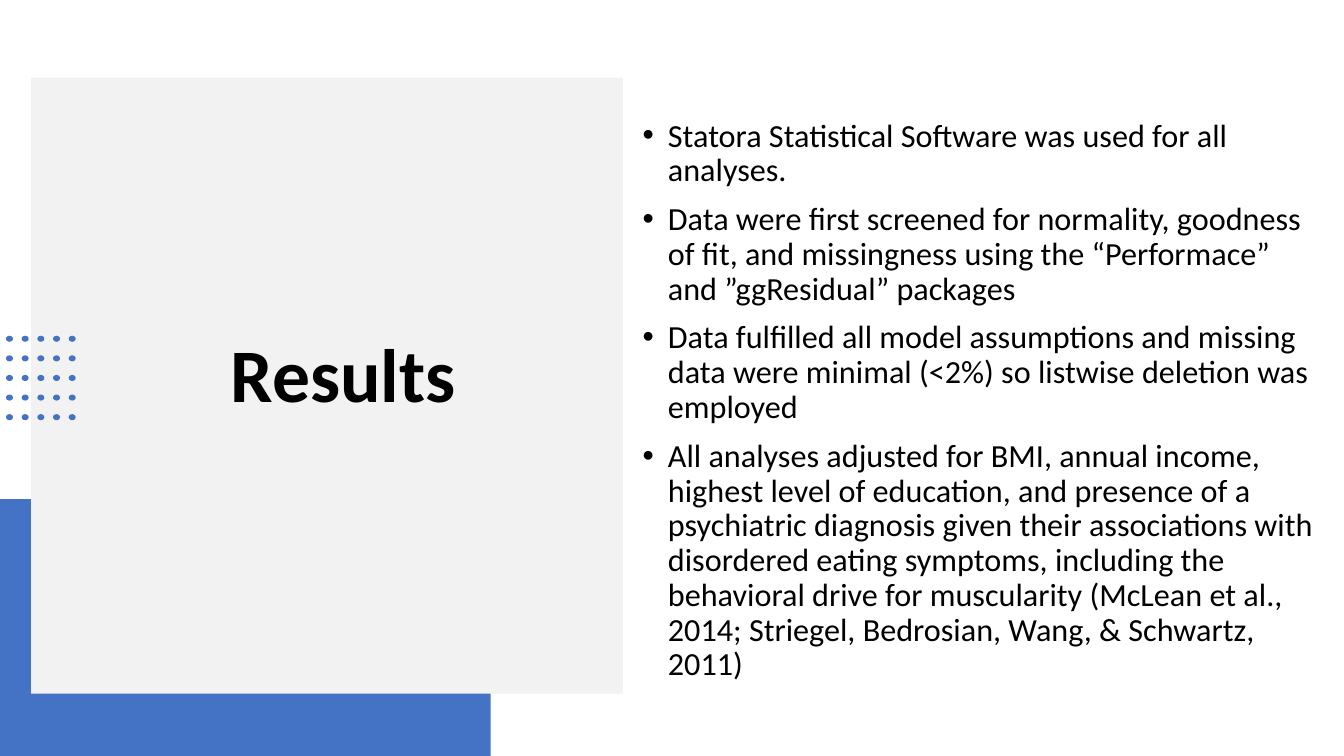
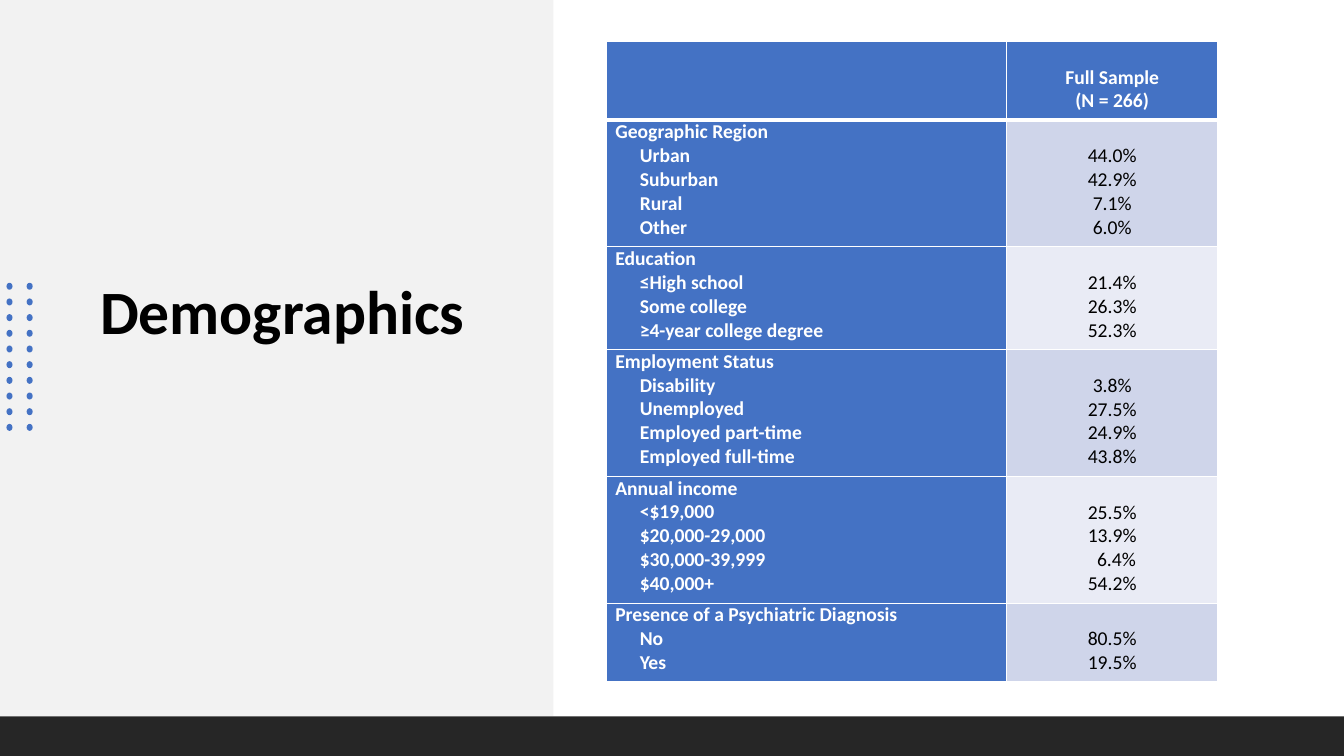
from dataclasses import dataclass
from itertools import product

from lxml import etree
from pptx import Presentation
from pptx import util as u
from pptx.dml import color
from pptx.enum import shapes, text
from pptx.oxml import ns

Pt = u.Pt


@dataclass(frozen=True)
class Theme:
    font: str = "Calibri"
    blue: str = "4472C4"
    panel: str = "F2F2F2"
    dark: str = "262626"
    black: str = "000000"
    white: str = "FFFFFF"
    bands: tuple = ("CFD5EA", "E9EBF5")
    title: int = 54
    label: int = 44
    body: int = 23
    cell: int = 14


T = Theme()
WIDE, HIGH = 960, 540
LEFT, MID = text.PP_ALIGN.LEFT, text.PP_ALIGN.CENTER

POINTS = (
    "Statora Statistical Software was used for all analyses.",
    "Data were first screened for normality, goodness of fit, and missingness "
    "using the “Performace” and ”ggResidual” packages",
    "Data fulfilled all model assumptions and missing data were minimal (<2%) "
    "so listwise deletion was employed",
    "All analyses adjusted for BMI, annual income, highest level of education, "
    "and presence of a psychiatric diagnosis given their associations with "
    "disordered eating symptoms, including the behavioral drive for muscularity "
    "(McLean et al., 2014; Striegel, Bedrosian, Wang, & Schwartz, 2011)",
)
HEADS = ("Full Sample", "(N = 266)")
GROUPS = (
    ("Geographic Region", (("Urban", "44.0%"), ("Suburban", "42.9%"),
                           ("Rural", "7.1%"), ("Other", "6.0%"))),
    ("Education", (("≤High school", "21.4%"), ("Some college", "26.3%"),
                   ("≥4-year college degree", "52.3%"))),
    ("Employment Status", (("Disability", "3.8%"), ("Unemployed", "27.5%"),
                           ("Employed part-time", "24.9%"),
                           ("Employed full-time", "43.8%"))),
    ("Annual income", (("<$19,000", "25.5%"), ("$20,000-29,000", "13.9%"),
                       ("$30,000-39,999", "6.4%"), ("$40,000+", "54.2%"))),
    ("Presence of a Psychiatric Diagnosis", (("No", "80.5%"), ("Yes", "19.5%"))),
)
NUDGE = {"6.4%": 6}
COLS = (286, 151)
LINE, PAD = 17.2, 4.6


def paint(fill, hue):
    fill.solid()
    fill.fore_color.rgb = color.RGBColor.from_string(hue)


def block(home, box, hue, kind=shapes.MSO_SHAPE.RECTANGLE):
    item = home.add_shape(kind, *map(Pt, box))
    item.shadow.inherit = False
    paint(item.fill, hue)
    item.line.fill.background()


def dots(slide, start, step, count, size):
    group = slide.shapes.add_group_shape()
    for col, row in product(*map(range, count)):
        x = start[0] + col * step[0] - size[0] / 2
        y = start[1] + row * step[1] - size[1] / 2
        block(group.shapes, (x, y, *size), T.blue, shapes.MSO_SHAPE.OVAL)


def frame(slide, box):
    body = slide.shapes.add_textbox(*map(Pt, box)).text_frame
    body.word_wrap = True
    body.vertical_anchor = text.MSO_ANCHOR.MIDDLE
    return body


def write(body, words, size, hue=T.black, bold=False, align=LEFT, indent=0):
    para = body.paragraphs[0]
    if para.runs:
        para = body.add_paragraph()
    para.alignment = align
    if indent:
        para._p.get_or_add_pPr().set("marL", str(Pt(indent)))
    run = para.add_run()
    run.text = words
    run.font.name = T.font
    run.font.size = Pt(size)
    run.font.bold = bold
    run.font.color.rgb = color.RGBColor.from_string(hue)
    return para


def title(slide, words, box, size, align):
    body = frame(slide, box)
    write(body, words, size, bold=True, align=align).line_spacing = 0.9
    return body


def bullet(body, words):
    para = write(body, words, T.body, indent=18)
    para.line_spacing = 0.9
    para.space_before = Pt(10)
    props = para._p.get_or_add_pPr()
    props.set("indent", str(Pt(-18)))
    etree.SubElement(props, ns.qn("a:buFont"), typeface="Arial")
    etree.SubElement(props, ns.qn("a:buChar"), char="•")


def border(cell, top, base):
    props = cell._tc.get_or_add_tcPr()
    sides = (("L", 1), ("R", 1), ("T", top), ("B", base))
    for spot, (side, width) in enumerate(sides):
        edge = etree.Element(ns.qn(f"a:ln{side}"), w=str(Pt(width)))
        fill = etree.SubElement(edge, ns.qn("a:solidFill"))
        etree.SubElement(fill, ns.qn("a:srgbClr"), val=T.white)
        props.insert(spot, edge)


def style(cell, hue, row, drop=0):
    paint(cell.fill, hue)
    cell.margin_left = cell.margin_right = Pt(6.5)
    cell.margin_top, cell.margin_bottom = Pt(drop), Pt(0)
    border(cell, 3 if row == 1 else 1, 3 if row == 0 else 1)
    return cell.text_frame


def sample(slide):
    lines = [3] + [len(items) + 1 for _, items in GROUPS]
    tall = [LINE * count + PAD for count in lines]
    grid = slide.shapes.add_table(
        len(tall), len(COLS), Pt(433), Pt(29.5), Pt(sum(COLS)), Pt(sum(tall))).table
    for col, width in zip(grid.columns, COLS):
        col.width = Pt(width)
    for row, height in zip(grid.rows, tall):
        row.height = Pt(height)

    style(grid.cell(0, 0), T.blue, 0)
    head = style(grid.cell(0, 1), T.blue, 0, LINE)
    for words in HEADS:
        write(head, words, T.cell, T.white, True, MID)

    for row, (name, items) in enumerate(GROUPS, 1):
        names = style(grid.cell(row, 0), T.blue, row)
        rates = style(grid.cell(row, 1), T.bands[(row - 1) % 2], row, LINE)
        write(names, name, T.cell, T.white, True)
        for label, rate in items:
            write(names, label, T.cell, T.white, True, indent=17.5)
            write(rates, rate, T.cell, align=MID, indent=NUDGE.get(rate, 0))


def results(slide):
    block(slide.shapes, (0, 356.5, 350.5, 183.5), T.blue)
    block(slide.shapes, (22.25, 55.5, 422.75, 440), T.panel)
    title(slide, "Results", (80, 106, 330.5, 328), T.title, MID)
    dots(slide, (6.8, 242), (11.2, 14), (5, 5), (5, 4.3))
    body = frame(slide, (452, 16.5, 497, 540))
    for words in POINTS:
        bullet(body, words)


def people(slide):
    block(slide.shapes, (0, 0, 395.25, 511.5), T.panel)
    body = title(slide, "Demographics", (47, 95, 305, 320.5), T.label, LEFT)
    body.margin_left, body.margin_bottom = Pt(24.5), Pt(64)
    dots(slide, (6.8, 204.5), (14.4, 11.2), (2, 10), (4.3, 5))
    block(slide.shapes, (0, 511.75, WIDE, 28.25), T.dark)
    sample(slide)


def main():
    deck = Presentation()
    deck.slide_width, deck.slide_height = Pt(WIDE), Pt(HIGH)
    for build in (results, people):
        build(deck.slides.add_slide(deck.slide_layouts[6]))
    deck.save("out.pptx")


main()
